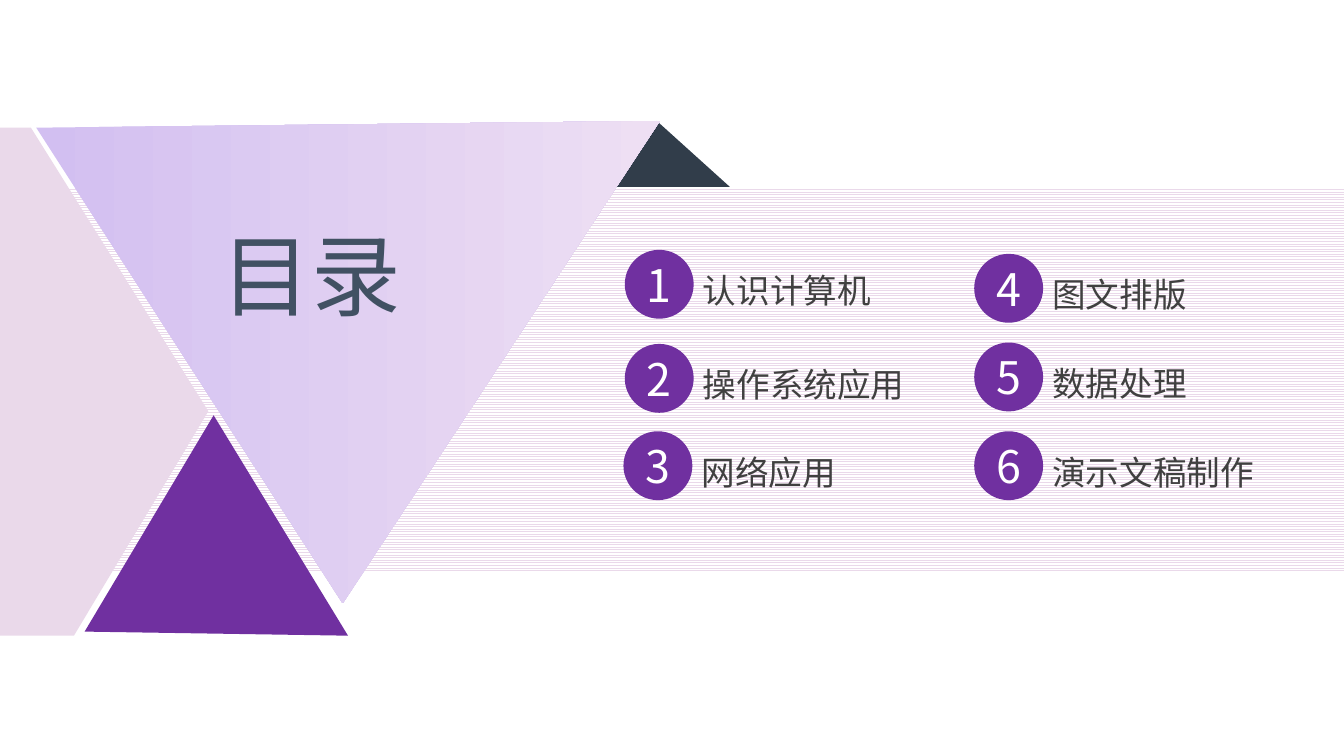
from lxml import etree
from pptx import Presentation
from pptx.dml.color import RGBColor
from pptx.enum import dml, shapes, text
from pptx.oxml import ns
from pptx.util import Inches, Pt

FONT = "Noto Sans CJK SC"
COLORS = {
    "white": "FFFFFF",
    "pink": "EAD9EA",
    "purple": "7030A0",
    "navy": "313D4A",
    "title": "415163",
    "label": "404040",
    "gradient_left": "D2BFF1",
    "gradient_right": "EEDFF3",
}
BADGE_SIZE = 0.45
# badge left, badge top, label
CHAPTERS = [
    (4.68, 1.89, "认识计算机"),
    (4.68, 2.59, "操作系统应用"),
    (4.67, 3.24, "网络应用"),
    (7.28, 1.92, "图文排版"),
    (7.28, 2.58, "数据处理"),
    (7.28, 3.24, "演示文稿制作"),
]


def color(name):
    return RGBColor.from_string(COLORS[name])


def paint(shape, fill_name):
    shape.shadow.inherit = False
    shape.fill.solid()
    shape.fill.fore_color.rgb = color(fill_name)
    shape.line.fill.background()


def add_preset(slide, kind, box, fill_name):
    shape = slide.shapes.add_shape(kind, *map(Inches, box))
    paint(shape, fill_name)
    return shape


def add_polygon(slide, points, fill_name):
    corners = [(Inches(x), Inches(y)) for x, y in points]
    builder = slide.shapes.build_freeform(*corners[0])
    builder.add_line_segments(corners[1:], close=True)
    shape = builder.convert_to_shape()
    paint(shape, fill_name)
    return shape


def write(shape, words, size, color_name, align=text.PP_ALIGN.LEFT):
    """Put one paragraph in the shape, in the slide's font for both scripts."""
    shape.text_frame.text = words
    paragraph = shape.text_frame.paragraphs[0]
    paragraph.alignment = align
    font = paragraph.runs[0].font
    font.size = Pt(size)
    font.color.rgb = color(color_name)
    font.name = FONT
    properties = paragraph.runs[0]._r.get_or_add_rPr()
    etree.SubElement(properties, ns.qn("a:ea"), typeface=FONT)


def center_without_margins(frame):
    frame.margin_left = frame.margin_right = 0
    frame.margin_top = frame.margin_bottom = 0
    frame.vertical_anchor = text.MSO_ANCHOR.MIDDLE
    frame.word_wrap = True


def add_striped_band(slide):
    band = add_preset(slide, shapes.MSO_SHAPE.RECTANGLE, (0, 1.39, 10, 2.86), "white")
    band.fill.patterned()
    band.fill.pattern = dml.MSO_PATTERN.LIGHT_HORIZONTAL
    band.fill.fore_color.rgb = color("pink")
    band.fill.back_color.rgb = color("white")


def add_triangles(slide):
    fold = add_preset(
        slide, shapes.MSO_SHAPE.ISOSCELES_TRIANGLE, (4.51, 0.9, 0.92, 0.49), "navy"
    )
    fold.adjustments[0] = 0.41

    large = add_polygon(slide, [(4.91, 0.9), (2.55, 4.49), (0.27, 0.95)], "gradient_left")
    large.fill.gradient()
    large.fill.gradient_angle = 0
    for stop, name in zip(large.fill.gradient_stops, ("gradient_left", "gradient_right")):
        stop.color.rgb = color(name)

    add_polygon(
        slide, [(0.23, 0.95), (1.55, 3.06), (0.55, 4.73), (0, 4.73), (0, 0.95)], "pink"
    )
    add_polygon(slide, [(2.59, 4.73), (1.59, 3.09), (0.63, 4.7)], "purple")


def add_title(slide):
    box = slide.shapes.add_textbox(*map(Inches, (1.55, 1.59, 1.55, 0.91)))
    box.text_frame.word_wrap = False
    box.text_frame.auto_size = text.MSO_AUTO_SIZE.SHAPE_TO_FIT_TEXT
    write(box, "目录", 48, "title")


def add_chapter(slide, number, left, top, label):
    """Add a numbered badge with its label to the right."""
    badge = add_preset(
        slide, shapes.MSO_SHAPE.OVAL, (left, top, BADGE_SIZE, BADGE_SIZE), "purple"
    )
    badge.line.color.rgb = color("purple")
    badge.line.width = Pt(4.5)
    center_without_margins(badge.text_frame)
    write(badge, str(number), 24, "white", text.PP_ALIGN.CENTER)

    box = slide.shapes.add_textbox(*map(Inches, (left + 0.55, top + 0.12, 1.75, 0.3)))
    center_without_margins(box.text_frame)
    box.text_frame.auto_size = text.MSO_AUTO_SIZE.SHAPE_TO_FIT_TEXT
    write(box, label, 18, "label")


def main():
    presentation = Presentation()
    presentation.slide_width = Inches(10)
    presentation.slide_height = presentation.slide_width * 9 // 16
    slide = presentation.slides.add_slide(presentation.slide_layouts[6])

    add_striped_band(slide)
    add_triangles(slide)
    add_title(slide)
    for number, chapter in enumerate(CHAPTERS, start=1):
        add_chapter(slide, number, *chapter)

    presentation.save("out.pptx")


if __name__ == "__main__":
    main()
